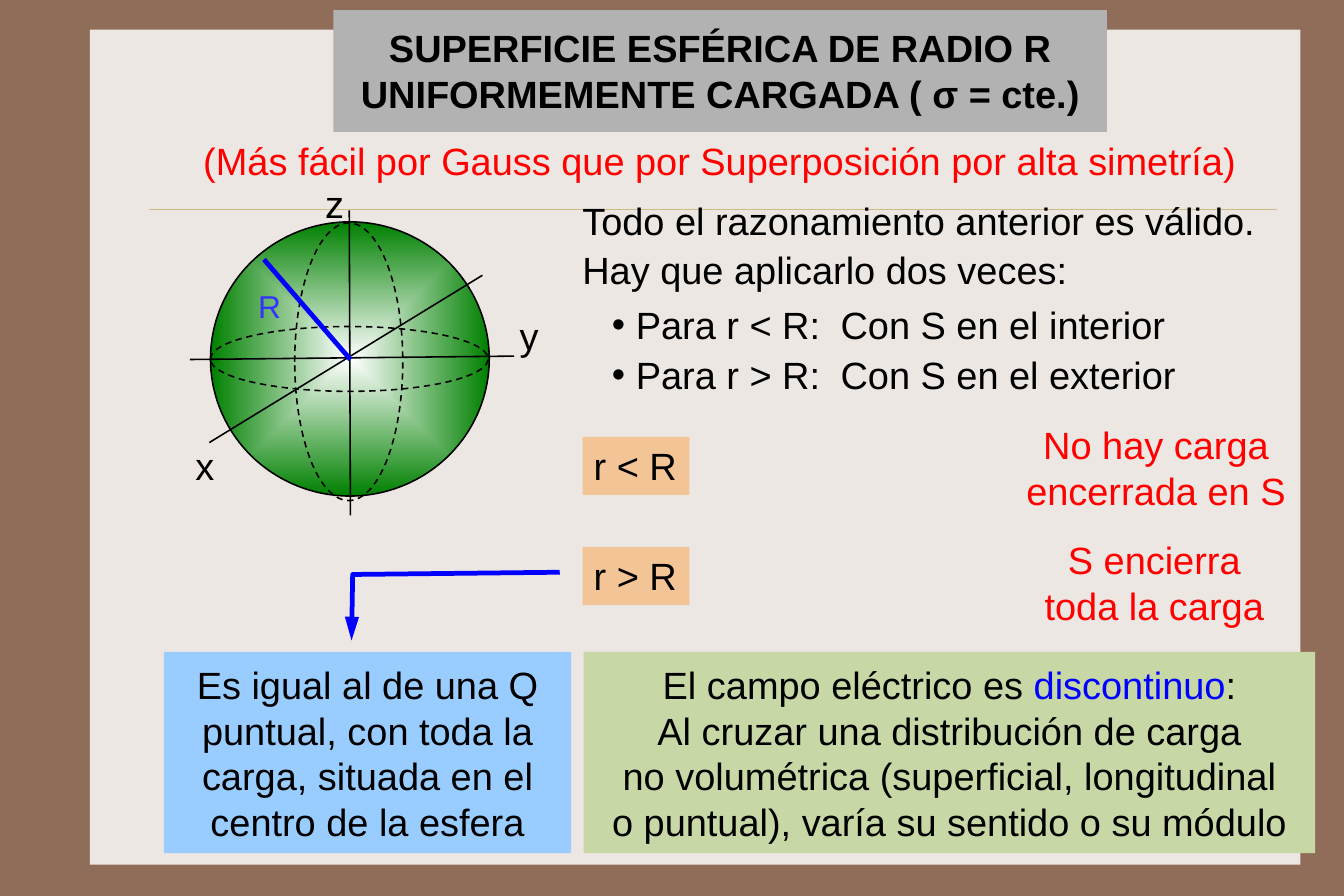
from lxml import etree
from pptx import Presentation, util as u
from pptx.dml.color import RGBColor
from pptx.enum import dml, shapes, text
from pptx.oxml import parse_xml
from pptx.oxml.ns import nsdecls, qn

theme = {
    "font": "Arial", "size": 24, "small": 20,
    "frame": "906D58", "page": "EDE7E3", "rule": "CBBD83",
    "ink": "000000", "red": "FF0000", "blue": "0000FF", "mark": "3333FF",
    "gray": "B2B2B2", "sand": "F3C495", "leaf": "C7D7A5", "sky": "99CCFF",
    "white": "FFFFFF", "green": "008000",
}
RECT = shapes.MSO_SHAPE.RECTANGLE
OVAL = shapes.MSO_SHAPE.OVAL
MID = text.PP_ALIGN.CENTER


def tint(name):
    return RGBColor.from_string(theme[name])


def box(place, rows=(), fill=None, kind=RECT, color="ink", size="size",
        bold=False, align=text.PP_ALIGN.LEFT, wrap=True, pad=(0.1, 0.05),
        anchor=text.MSO_ANCHOR.TOP):
    """Add a shape, or a text box if there is no fill; *words* turn blue."""
    spot = [u.Inches(n) for n in place]
    if fill or not rows:
        shape = slide.shapes.add_shape(kind, *spot)
        shape.shadow.inherit = False
        shape.line.fill.background()
        if fill:
            shape.fill.solid()
            shape.fill.fore_color.rgb = tint(fill)
        else:
            shape.fill.background()
    else:
        shape = slide.shapes.add_textbox(*spot)
    frame = shape.text_frame
    wide, high = [u.Inches(n) for n in pad]
    form = {"word_wrap": wrap, "vertical_anchor": anchor,
            "margin_left": wide, "margin_right": wide,
            "margin_top": high, "margin_bottom": high}
    for key, val in form.items():
        setattr(frame, key, val)
    look = {"name": theme["font"], "size": u.Pt(theme[size]), "bold": bold}
    for i, row in enumerate(rows):
        para = frame.add_paragraph() if i else frame.paragraphs[0]
        para.alignment = align
        for j, part in enumerate(row.split("*")):
            run = para.add_run()
            run.text = part
            for key, val in look.items():
                setattr(run.font, key, val)
            run.font.color.rgb = tint("blue" if j % 2 else color)
    return shape


def line(ends, color="ink", width=1):
    wire = slide.shapes.add_connector(
        shapes.MSO_CONNECTOR.STRAIGHT, *[u.Inches(n) for n in ends])
    wire.line.color.rgb = tint(color)
    wire.line.width = u.Pt(width)
    etree.SubElement(wire.element.spPr, qn("a:effectLst"))


# Slide in the ratio 3 to 2
deck = Presentation()
deck.slide_width, deck.slide_height = u.Inches(189 / 16), u.Inches(63 / 8)
slide = deck.slides.add_slide(deck.slide_layouts[6])
slide.background.fill.solid()
slide.background.fill.fore_color.rgb = tint("frame")

# Page and rule
box((0.79, 0.26, 10.64, 7.34), fill="page")
line((1.31, 1.84, 11.22, 1.84), "rule", 0.25)

# Title and subtitle
box((2.93, 0.09, 6.8, 1.07),
    ["SUPERFICIE ESFÉRICA DE RADIO R", "UNIFORMEMENTE CARGADA ( σ = cte.)"],
    "gray", bold=True, align=MID, pad=(0.1, 0.13))
box((1.57, 1.16, 9.51, 0.51),
    ["(Más fácil por Gauss que por Superposición por alta simetría)"],
    color="red", align=MID)

# Sphere
ball = box((1.85, 1.95, 2.45, 2.41), kind=OVAL)
ball.fill.gradient()
for stop, name in zip(ball.fill.gradient_stops, ("white", "green")):
    stop.color.rgb = tint(name)
slant = ball.element.spPr.find(".//" + qn("a:lin"))
slant.getparent().replace(slant, parse_xml(
    f'<a:path {nsdecls("a")} path="shape"><a:fillToRect '
    'l="50000" t="50000" r="50000" b="50000"/></a:path>'))
rings = [box((1.85, 2.87, 2.44, 0.57), kind=OVAL),
         box((2.59, 1.96, 0.95, 2.44), kind=OVAL)]
for ring in [ball] + rings:
    ring.line.color.rgb = tint("ink")
    ring.line.width = u.Pt(1)
for ring in rings:
    ring.line.dash_style = dml.MSO_LINE.DASH

# Axes and radius
for ends in ((3.07, 1.85, 3.08, 4.53), (4.24, 2.42, 1.84, 3.89),
             (1.67, 3.16, 4.52, 3.13)):
    line(ends)
for name, left, top in (("x", 1.62, 3.84), ("y", 4.47, 2.7), ("z", 2.76, 1.54)):
    box((left, top, 0.34, 0.43), [name], wrap=False)
box((2.17, 2.47, 0.4, 0.43), ["R"], color="mark", size="small", wrap=False)
line((3.08, 3.16, 2.32, 2.28), "blue", 3)

# Reasoning
box((5.02, 1.69, 6.37, 0.94),
    ["Todo el razonamiento anterior es válido.", "Hay que aplicarlo dos veces:"]
    ).text_frame.paragraphs[1].space_before = u.Pt(2)
cases = box((5.28, 2.6, 5.34, 0.95),
            ["Para r < R:\tCon S en el interior",
             "Para r > R:\tCon S en el exterior"])
for i, para in enumerate(cases.text_frame.paragraphs):
    prop = para._p.get_or_add_pPr()
    prop.set("marL", str(u.Inches(0.21)))
    prop.set("indent", str(u.Inches(-0.21)))
    etree.SubElement(prop, qn("a:buFont"), typeface=theme["font"])
    etree.SubElement(prop, qn("a:buChar"), char="•")
    tabs = etree.SubElement(prop, qn("a:tabLst"))
    etree.SubElement(tabs, qn("a:tab"), pos=str(u.Inches(2.01)), algn="l")
    para.space_before = u.Pt(3 * i)

# Both regions
for name, top in (("r < R", 3.84), ("r > R", 4.81)):
    box((5.12, top, 0.94, 0.51), [name], "sand", wrap=False)
box((8.69, 3.66, 2.94, 0.91), ["No hay carga encerrada en S"],
    color="red", align=MID)
box((9.07, 4.67, 2.15, 0.91), ["S encierra toda la carga"],
    color="red", align=MID)

# Bent arrow
pen = slide.shapes.build_freeform(u.Inches(4.92), u.Inches(5.03))
pen.add_line_segments([(u.Inches(x), u.Inches(y))
                       for x, y in ((3.1, 5.05), (3.09, 5.63))], close=False)
bend = pen.convert_to_shape()
bend.shadow.inherit = False
bend.fill.background()
bend.line.color.rgb = tint("blue")
bend.line.width = u.Pt(3)
etree.SubElement(bend.element.spPr.find(qn("a:ln")), qn("a:tailEnd"),
                 type="triangle", len="lg")

# Conclusions
for left, width, fill, rows in (
        (1.44, 3.58, "sky",
         ["Es igual al de una Q puntual, con toda la carga, "
          "situada en el centro de la esfera"]),
        (5.13, 6.43, "leaf",
         ["El campo eléctrico es *discontinuo*:",
          "Al cruzar una distribución de carga",
          "no volumétrica (superficial, longitudinal",
          "o puntual), varía su sentido o su módulo"])):
    box((left, 5.73, width, 1.77), rows, fill, align=MID, pad=(0.12, 0.08),
        anchor=text.MSO_ANCHOR.MIDDLE)

deck.save("out.pptx")
